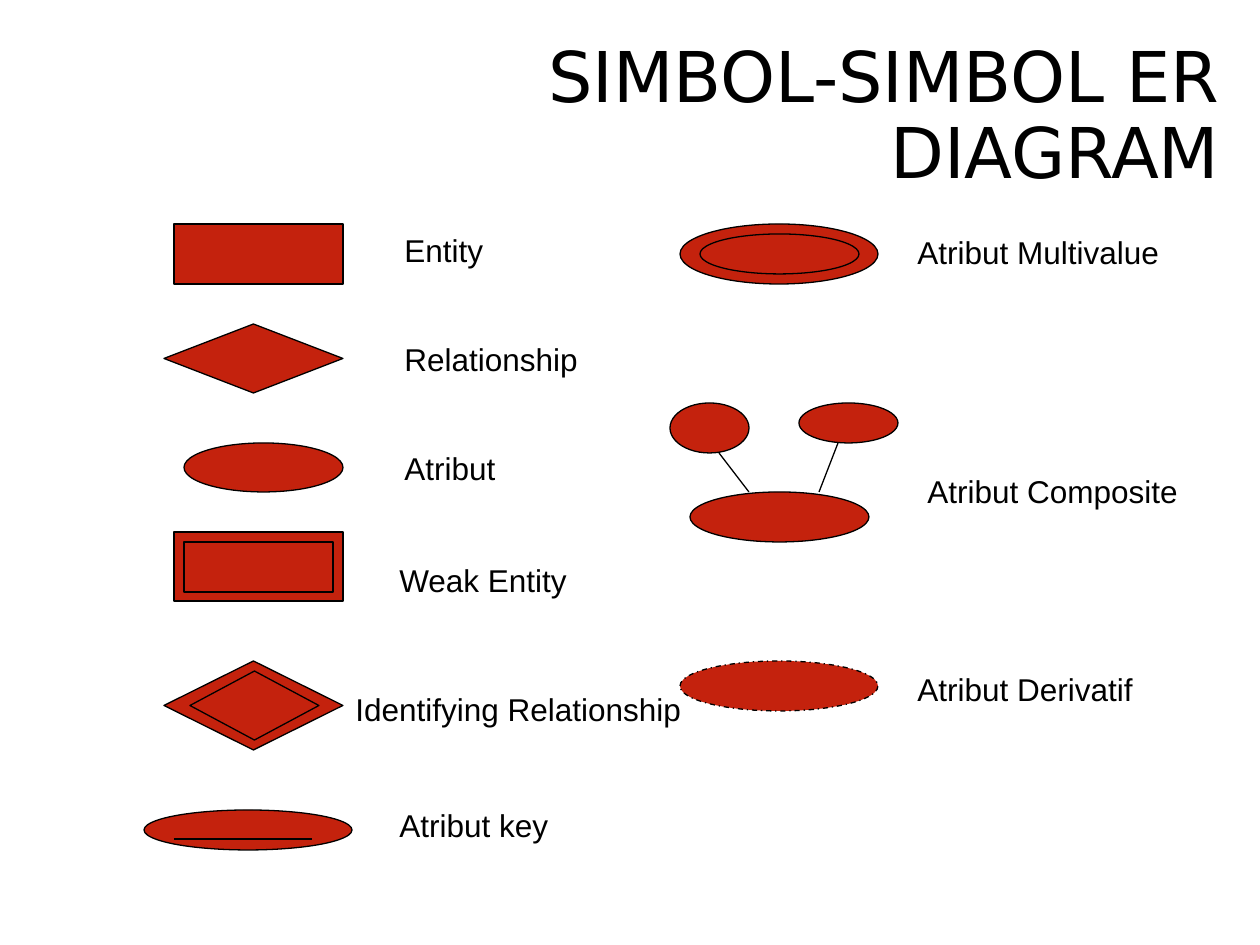
from pptx import Presentation
from pptx.dml.color import RGBColor
from pptx.enum.dml import MSO_LINE
from pptx.enum.shapes import MSO_CONNECTOR, MSO_SHAPE
from pptx.enum.text import MSO_ANCHOR, MSO_AUTO_SIZE, PP_ALIGN
from pptx.oxml.ns import qn
from pptx.util import Emu, Pt
from lxml import etree

SCALE = 914400 / 126
RED, BLACK = "C4220D", "000000"
PROCESS = MSO_SHAPE.FLOWCHART_PROCESS
DECISION = MSO_SHAPE.FLOWCHART_DECISION
OVAL = MSO_SHAPE.OVAL
RECTANGLE = MSO_SHAPE.RECTANGLE

TITLE = ("SIMBOL-SIMBOL ER DIAGRAM", (353, 29, 879, 178))
LABEL_HEIGHT = 50

SYMBOLS = [
    {"label": ("Entity", 392, 225, 110),
     "outlines": [(PROCESS, 174, 224, 169, 60)]},
    {"label": ("Relationship", 392, 334, 206),
     "outlines": [(DECISION, 164, 324, 179, 69)]},
    {"label": ("Atribut", 392, 443, 124),
     "outlines": [(OVAL, 184, 443, 159, 49)]},
    {"label": ("Weak Entity", 387, 555, 200),
     "outlines": [(PROCESS, 174, 532, 169, 69), (RECTANGLE, 184, 542, 149, 50)]},
    {"label": ("Identifying Relationship", 343, 684, 358),
     "outlines": [(DECISION, 164, 661, 179, 89), (DECISION, 190, 671, 129, 69)]},
    {"label": ("Atribut key", 387, 800, 182),
     "outlines": [(OVAL, 144, 810, 208, 40)],
     "lines": [(174, 839, 312, 839)]},
    {"label": ("Atribut Multivalue", 905, 227, 274),
     "outlines": [(OVAL, 680, 224, 198, 60), (OVAL, 700, 234, 159, 40)]},
    {"label": ("Atribut Composite", 915, 466, 283),
     "outlines": [(OVAL, 690, 492, 179, 50), (OVAL, 799, 403, 99, 40),
                  (OVAL, 670, 403, 79, 50)],
     "lines": [(819, 492, 838, 443), (749, 492, 719, 453)]},
    {"label": ("Atribut Derivatif", 905, 664, 249),
     "outlines": [(OVAL, 680, 661, 198, 50)],
     "dash": MSO_LINE.DASH_DOT},
]


def px(*lengths):
    return [Emu(round(length * SCALE)) for length in lengths]


def color(hex_value):
    return RGBColor.from_string(hex_value)


def style_line(line, dash=None):
    line.color.rgb = color(BLACK)
    line.width = Pt(0.75)
    if dash:
        line.dash_style = dash


def style_text(paragraph, font_name, size):
    paragraph.font.name = font_name
    paragraph.font.size = Pt(size)
    paragraph.font.color.rgb = color(BLACK)


def add_title(slide):
    wording, box = TITLE
    title = slide.shapes.title
    title.left, title.top, title.width, title.height = px(*box)
    title.text_frame.text = wording
    title.text_frame.word_wrap = True
    title.text_frame.vertical_anchor = MSO_ANCHOR.MIDDLE
    heading = title.text_frame.paragraphs[0]
    heading.alignment = PP_ALIGN.RIGHT
    heading.line_spacing = 0.9
    style_text(heading, "DejaVu Sans", 40)


def add_outline(slide, kind, box, dash):
    outline = slide.shapes.add_shape(kind, *px(*box))
    outline.shadow.inherit = False
    outline.fill.solid()
    outline.fill.fore_color.rgb = color(RED)
    style_line(outline.line, dash)


def add_line(slide, ends):
    connector = slide.shapes.add_connector(MSO_CONNECTOR.STRAIGHT, *px(*ends))
    style_line(connector.line)
    etree.SubElement(connector._element.spPr, qn("a:effectLst"))


def add_label(slide, wording, left, top, width):
    label = slide.shapes.add_textbox(*px(left, top, width, LABEL_HEIGHT))
    label.text_frame.text = wording
    label.text_frame.word_wrap = True
    label.text_frame.auto_size = MSO_AUTO_SIZE.SHAPE_TO_FIT_TEXT
    style_text(label.text_frame.paragraphs[0], "Arial", 18)


def main():
    presentation = Presentation()
    presentation.slide_width, presentation.slide_height = px(1260, 945)
    slide = presentation.slides.add_slide(presentation.slide_layouts[5])
    add_title(slide)
    for symbol in SYMBOLS:
        for kind, *box in symbol["outlines"]:
            add_outline(slide, kind, box, symbol.get("dash"))
        for ends in symbol.get("lines", []):
            add_line(slide, ends)
    for symbol in SYMBOLS:
        add_label(slide, *symbol["label"])
    presentation.save("out.pptx")


if __name__ == "__main__":
    main()
